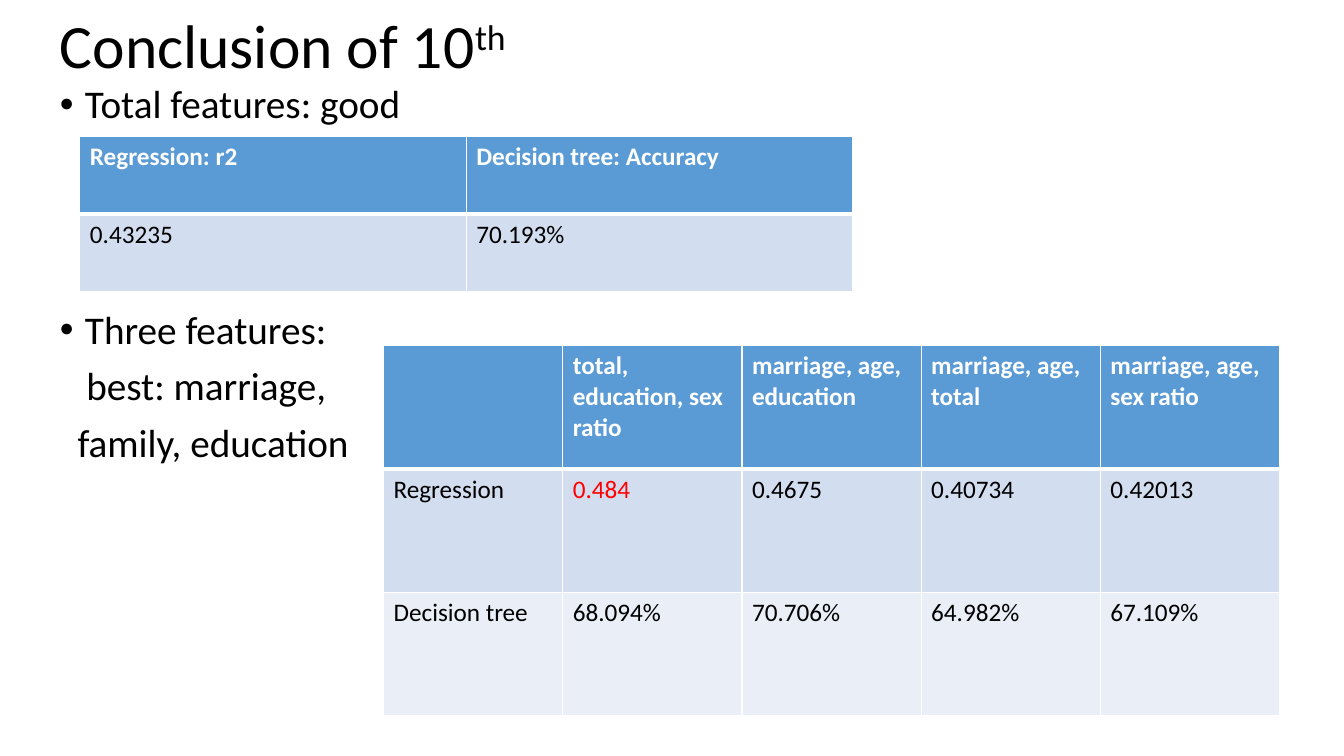
"""Build the slide that concludes the tenth analysis with two result tables."""
from dataclasses import dataclass

import lxml.etree
import pptx
import pptx.dml.color
import pptx.enum.text
import pptx.oxml.ns
import pptx.util

Pt = pptx.util.Pt
qn = pptx.oxml.ns.qn
FONT = "Calibri"
COLOURS = {
    "text": "000000", "best": "FF0000", "line": "FFFFFF",
    "header": "5B9BD5", "odd": "D2DEEF", "even": "EAEFF7",
}


@dataclass(frozen=True)
class Box:
    """Hold a rectangle in points."""
    left: float
    top: float
    width: float
    height: float


@dataclass(frozen=True)
class Line:
    """Describe one line of the body list."""
    text: str
    bullet: bool
    margin: float
    space_before: float = 10


@dataclass(frozen=True)
class Results:
    """Describe a result table and its highlighted value."""
    box: Box
    rows: tuple[tuple[str, ...], ...]
    best: str = ""


TITLE_BOX = Box(35.5, 0, 829.5, 70)
BODY_BOX = Box(35.5, 57, 878.5, 454)
LINES = (
    Line("Total features: good", True, 18),
    Line("Three features:", True, 18, 131),
    Line("best: marriage,", False, 19),
    Line("family, education", False, 12.7),
)
TABLES = (
    Results(Box(57, 97.5, 552, 110.8), (
        ("Regression: r2", "Decision tree: Accuracy"),
        ("0.43235", "70.193%"),
    )),
    Results(Box(274, 247, 640, 264), (
        ("", "total, education, sex ratio", "marriage, age, education",
         "marriage, age, total", "marriage, age, sex ratio"),
        ("Regression", "0.484", "0.4675", "0.40734", "0.42013"),
        ("Decision tree", "68.094%", "70.706%", "64.982%", "67.109%"),
    ), "0.484"),
)


def rgb(name: str) -> pptx.dml.color.RGBColor:
    """Return the named colour."""
    return pptx.dml.color.RGBColor.from_string(COLOURS[name])


def style(para, size: float, colour: str, bold: bool = False) -> None:
    """Set the font of a paragraph."""
    font = para.font
    font.name, font.size, font.bold = FONT, Pt(size), bold
    font.color.rgb = rgb(colour)


def place(holder, box: Box, anchor) -> None:
    """Move a placeholder and fix how its text sits."""
    holder.left, holder.top = Pt(box.left), Pt(box.top)
    holder.width, holder.height = Pt(box.width), Pt(box.height)
    holder.text_frame.vertical_anchor = anchor
    holder.text_frame.word_wrap = True
    holder.text_frame.auto_size = pptx.enum.text.MSO_AUTO_SIZE.NONE


def fill_title(holder) -> None:
    """Write the title with its raised ordinal ending."""
    place(holder, TITLE_BOX, pptx.enum.text.MSO_ANCHOR.MIDDLE)
    para = holder.text_frame.paragraphs[0]
    para.alignment = pptx.enum.text.PP_ALIGN.LEFT
    para.line_spacing = 0.9
    style(para, 44, "text")
    para.add_run().text = "Conclusion of 10"
    ending = para.add_run()
    ending.text = "th"
    ending.font._element.set("baseline", "30000")


def fill_body(holder) -> None:
    """Write the list of findings."""
    place(holder, BODY_BOX, pptx.enum.text.MSO_ANCHOR.TOP)
    frame = holder.text_frame
    for index, line in enumerate(LINES):
        para = frame.add_paragraph() if index else frame.paragraphs[0]
        para.text = line.text
        para.line_spacing = 0.9
        para.space_before = Pt(line.space_before)
        properties = para._p.get_or_add_pPr()
        properties.set("marL", str(Pt(line.margin)))
        properties.set("indent", str(-Pt(line.margin) if line.bullet else 0))
        if line.bullet:
            lxml.etree.SubElement(properties, qn("a:buFont"), typeface="Arial")
            lxml.etree.SubElement(properties, qn("a:buChar"), char="•")
        else:
            lxml.etree.SubElement(properties, qn("a:buNone"))
        style(para, 28, "text")


def add_borders(cell, row: int) -> None:
    """Rule a cell in white, thicker between header and values."""
    properties = cell._tc.get_or_add_tcPr()
    widths = {"L": 1, "R": 1, "T": 3 if row == 1 else 1, "B": 1 if row else 3}
    for side, width in widths.items():
        edge = lxml.etree.SubElement(properties, qn(f"a:ln{side}"), w=str(Pt(width)))
        fill = lxml.etree.SubElement(edge, qn("a:solidFill"))
        lxml.etree.SubElement(fill, qn("a:srgbClr"), val=COLOURS["line"])


def add_results(page, results: Results) -> None:
    """Draw a table with equal rows and columns."""
    box, rows = results.box, results.rows
    table = page.shapes.add_table(
        len(rows), len(rows[0]),
        Pt(box.left), Pt(box.top), Pt(box.width), Pt(box.height)).table
    for row, texts in enumerate(rows):
        for column, text in enumerate(texts):
            cell = table.cell(row, column)
            cell.text = text
            add_borders(cell, row)
            cell.fill.solid()
            cell.fill.fore_color.rgb = rgb(("header", "odd", "even")[row])
            value_colour = "best" if text and text == results.best else "text"
            style(cell.text_frame.paragraphs[0], 18,
                  value_colour if row else "line", row == 0)


def main() -> None:
    """Build and save the deck."""
    deck = pptx.Presentation()
    deck.slide_width, deck.slide_height = Pt(960), Pt(540)
    page = deck.slides.add_slide(deck.slide_layouts[1])
    fill_title(page.shapes.title)
    fill_body(page.placeholders[1])
    for results in TABLES:
        add_results(page, results)
    deck.save("out.pptx")


if __name__ == "__main__":
    main()
